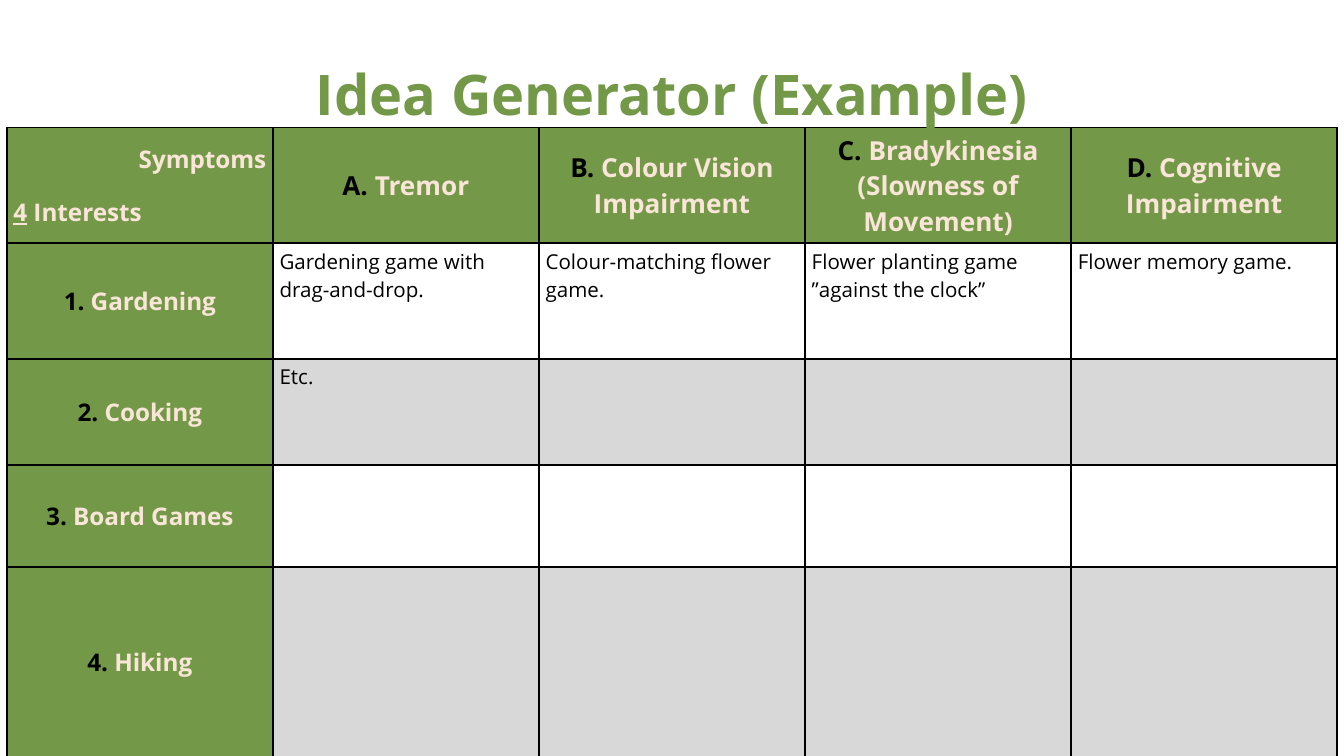
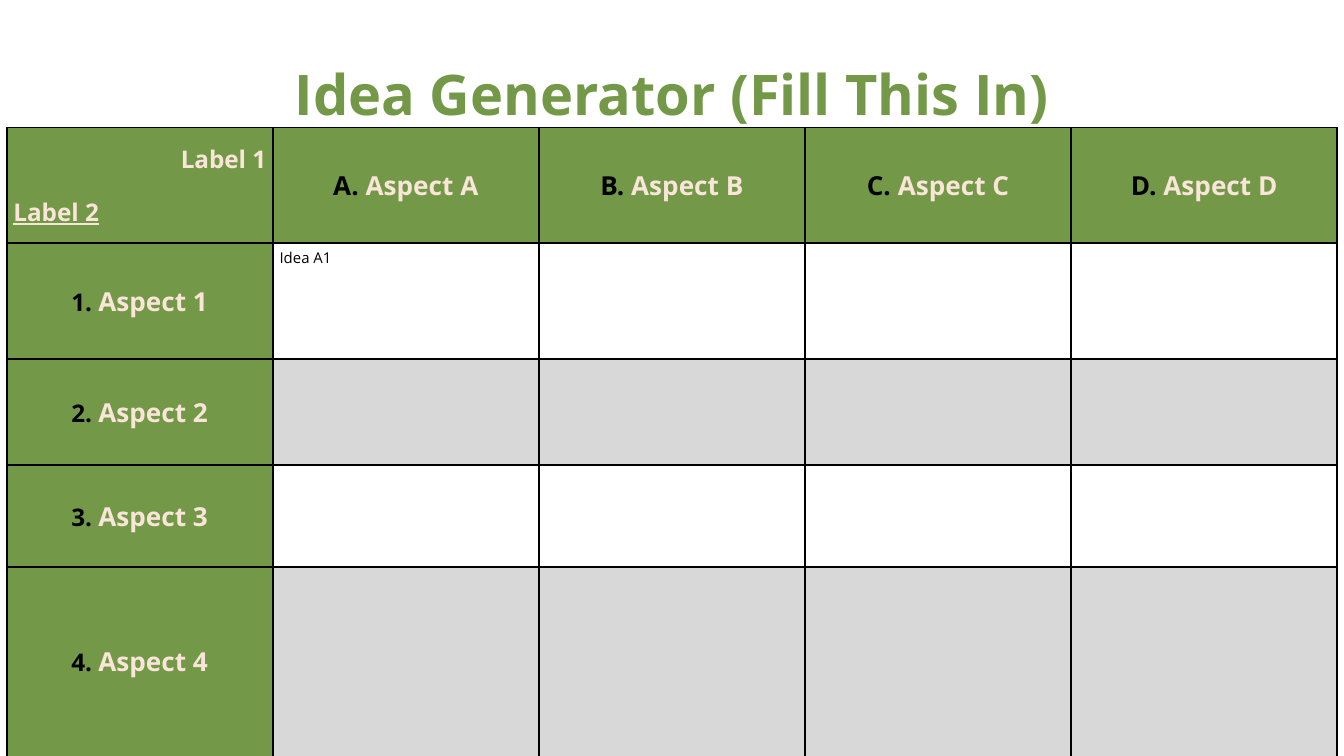
from lxml import etree
from pptx import Presentation
from pptx import util as u
from pptx.dml.color import RGBColor
from pptx.enum import text
from pptx.oxml.ns import qn

# Shared look
FONT = "Open Sans"
GREEN, CREAM, GREY, BLACK = "739948", "FAE5D9", "D8D8D8", "000000"
SLIDE_W = 10
SLIDE_H = SLIDE_W * 9 / 16
TITLE_TOP, TITLE_H = 0.16, 0.79
GRID_LEFT, GRID_TOP = 0.05, 0.95
COLUMN_W = 1.98
ROW_HEIGHTS = [0.86, 0.86, 0.79, 0.76, 1.41]
LETTERS = "ABCD"
LABEL_SIZE, HEADING_SIZE = 13, 14
CENTER, RIGHT = text.PP_ALIGN.CENTER, text.PP_ALIGN.RIGHT


def color(hex_value):
    return RGBColor.from_string(hex_value)


def style(font, size, hex_value, bold=True):
    font.name, font.size, font.bold = FONT, u.Pt(size), bold
    font.color.rgb = color(hex_value)


def add_title(slide, wording):
    box = slide.shapes.add_textbox(0, u.Inches(TITLE_TOP), u.Inches(SLIDE_W), u.Inches(TITLE_H))
    frame = box.text_frame
    frame.word_wrap = True
    frame.margin_left = frame.margin_right = frame.margin_top = frame.margin_bottom = 0
    title = frame.paragraphs[0]
    title.text = wording
    title.alignment, title.line_spacing = CENTER, 1.56
    style(title.font, 30, GREEN)


def add_border(cell):
    properties = cell._tc.get_or_add_tcPr()
    for side in ("a:lnL", "a:lnR", "a:lnT", "a:lnB"):
        line = etree.SubElement(properties, qn(side), w=str(u.Pt(1)))
        fill = etree.SubElement(line, qn("a:solidFill"))
        etree.SubElement(fill, qn("a:srgbClr"), val=BLACK)


def prepare_cell(cell, fill):
    cell.margin_left = cell.margin_right = u.Inches(0.05)
    cell.margin_top = cell.margin_bottom = u.Inches(0.03)
    add_border(cell)
    if fill:
        cell.fill.solid()
        cell.fill.fore_color.rgb = color(fill)
    else:
        cell.fill.background()


def write_corner(cell, across, underlined, plain):
    """Name the columns at upper right and the rows at lower left."""
    cell.vertical_anchor = text.MSO_ANCHOR.MIDDLE
    across_label = cell.text_frame.paragraphs[0]
    across_label.text, across_label.alignment = across, RIGHT
    down_label = cell.text_frame.add_paragraph()
    down_label.space_before = u.Pt(11)
    for wording, is_underlined in ((underlined, True), (plain, False)):
        if wording:
            run = down_label.add_run()
            run.text, run.font.underline = wording, is_underlined
    for label in (across_label, down_label):
        style(label.font, LABEL_SIZE, CREAM)


def write_heading(cell, mark, name, mark_size, name_size):
    """Write a black mark followed by a cream name."""
    cell.vertical_anchor = text.MSO_ANCHOR.MIDDLE
    heading = cell.text_frame.paragraphs[0]
    heading.alignment = CENTER
    for wording, size, hue in ((f"{mark}. ", mark_size, BLACK), (name, name_size, CREAM)):
        run = heading.add_run()
        run.text = wording
        style(run.font, size, hue)


def write_idea(cell, wording, size):
    idea = cell.text_frame.paragraphs[0]
    idea.text = wording
    style(idea.font, size, BLACK, bold=False)


def add_idea_grid(slide, corner, symptoms, interests, ideas, interest_size, idea_size):
    rows, columns = len(interests) + 1, len(symptoms) + 1
    grid = slide.shapes.add_table(
        rows, columns, u.Inches(GRID_LEFT), u.Inches(GRID_TOP),
        u.Inches(columns * COLUMN_W), u.Inches(sum(ROW_HEIGHTS))).table
    grid.first_row = grid.horz_banding = False
    for column in grid.columns:
        column.width = u.Inches(COLUMN_W)
    for row, height in zip(grid.rows, ROW_HEIGHTS):
        row.height = u.Inches(height)

    # Green headings, then white and grey rows in turn
    for r in range(rows):
        for c in range(columns):
            band = GREY if r % 2 == 0 else None
            prepare_cell(grid.cell(r, c), GREEN if r == 0 or c == 0 else band)

    write_corner(grid.cell(0, 0), *corner)
    for c, (letter, symptom) in enumerate(zip(LETTERS, symptoms), 1):
        write_heading(grid.cell(0, c), letter, symptom, HEADING_SIZE, HEADING_SIZE)
    for r, interest in enumerate(interests, 1):
        write_heading(grid.cell(r, 0), r, interest, LABEL_SIZE, interest_size)
    for r, row_ideas in enumerate(ideas, 1):
        for c, idea in enumerate(row_ideas, 1):
            write_idea(grid.cell(r, c), idea, idea_size)


def main():
    deck = Presentation()
    deck.slide_width, deck.slide_height = u.Inches(SLIDE_W), u.Inches(SLIDE_H)
    blank = deck.slide_layouts[6]

    # Worked example
    example = deck.slides.add_slide(blank)
    add_idea_grid(
        example,
        corner=("Symptoms", "4", " Interests"),
        symptoms=["Tremor", "Colour Vision Impairment",
                  "Bradykinesia (Slowness of Movement)", "Cognitive Impairment"],
        interests=["Gardening", "Cooking", "Board Games", "Hiking"],
        ideas=[["Gardening game with drag-and-drop.", "Colour-matching flower game.",
                "Flower planting game ”against the clock”", "Flower memory game."],
               ["Etc."]],
        interest_size=LABEL_SIZE, idea_size=11)
    add_title(example, "Idea Generator (Example)")

    # Template to fill in
    template = deck.slides.add_slide(blank)
    add_idea_grid(
        template,
        corner=("Label 1", "Label 2", ""),
        symptoms=[f"Aspect {letter}" for letter in LETTERS],
        interests=[f"Aspect {number}" for number in range(1, 5)],
        ideas=[["Idea A1"]],
        interest_size=HEADING_SIZE, idea_size=8)
    add_title(template, "Idea Generator (Fill This In)")

    deck.save("out.pptx")


if __name__ == "__main__":
    main()
